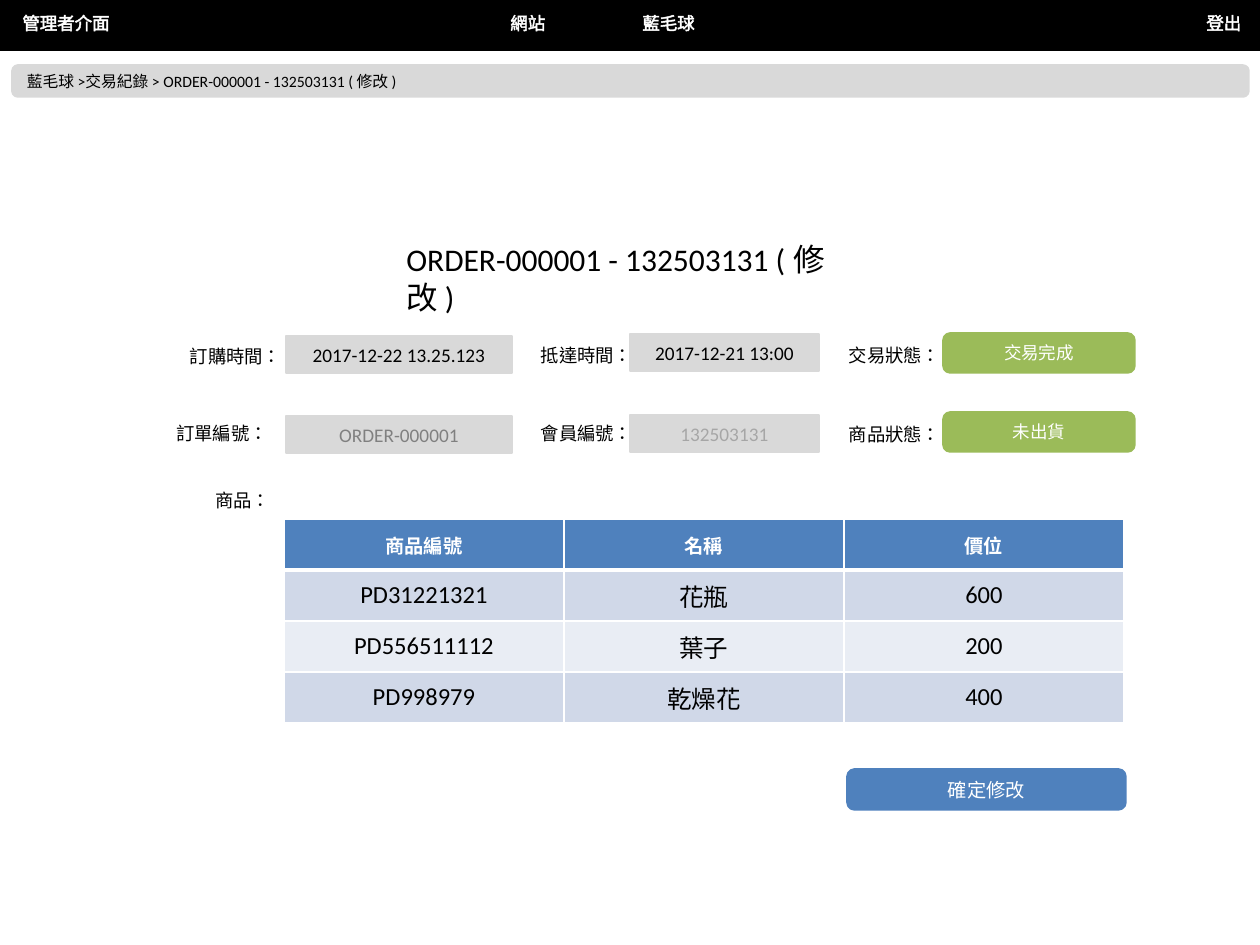
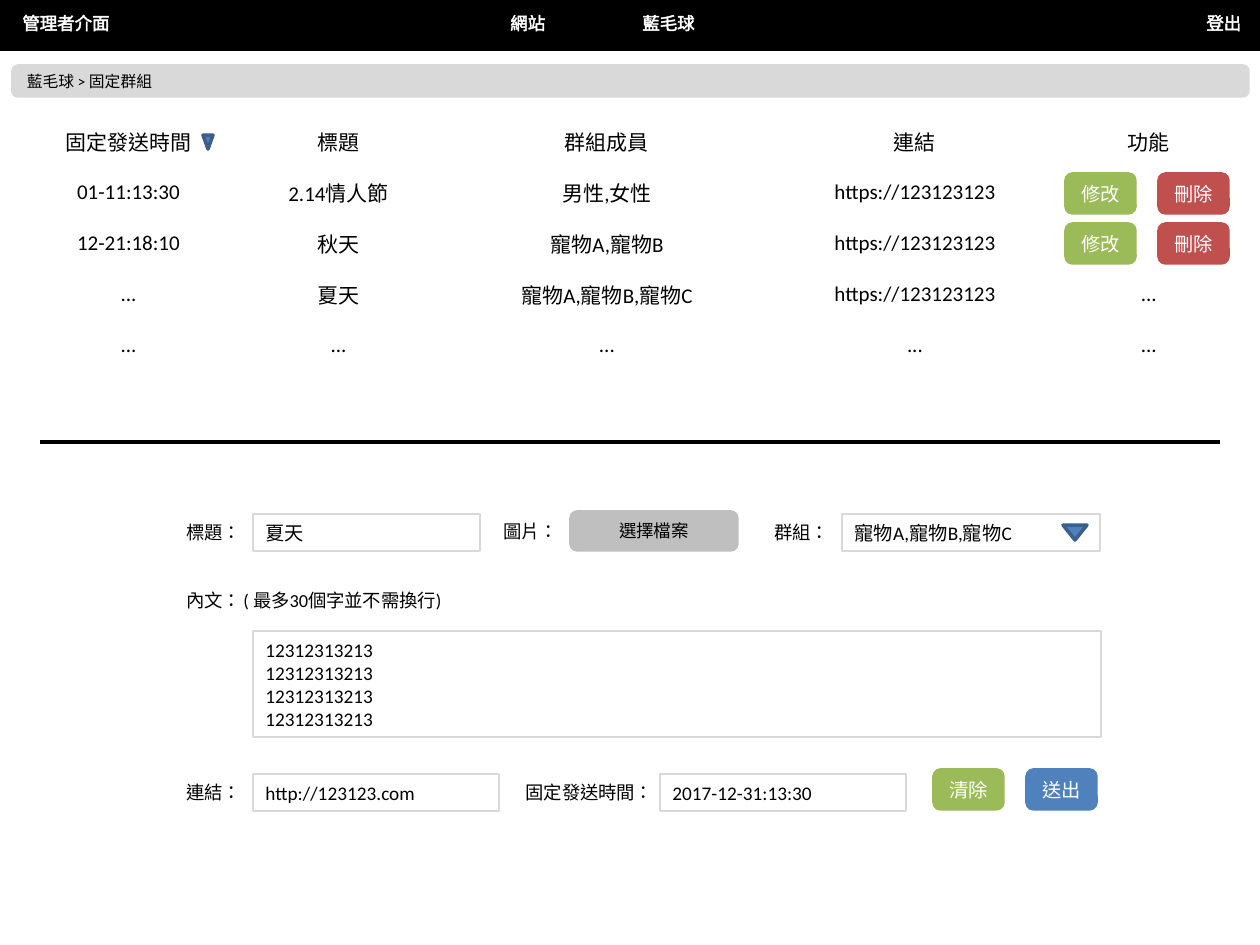
from lxml import etree
from pptx import Presentation
from pptx.dml.color import RGBColor
from pptx.enum.shapes import MSO_CONNECTOR, MSO_SHAPE
from pptx.enum.text import MSO_ANCHOR, PP_ALIGN
from pptx.oxml.ns import qn
from pptx.util import Emu, Pt

# ---------- shared look ----------
SCALE = 914400 / 126
FONT, LANGUAGE = "Calibri", "zh-TW"
BLACK, WHITE = "000000", "FFFFFF"
BLUE, DARK_BLUE, GREEN, RED = "4F81BD", "3A5F8C", "9BBB59", "C0504D"
PALE, SILVER, MUTED, FAINT = "D9D9D9", "BFBFBF", "808080", "A6A6A6"
BAND_DARK, BAND_LIGHT = "D0D8E8", "E9EDF4"
LEFT, CENTER = PP_ALIGN.LEFT, PP_ALIGN.CENTER
RECT, ROUND = MSO_SHAPE.RECTANGLE, MSO_SHAPE.ROUNDED_RECTANGLE
PLAIN_TABLE = "{2D5ABB26-0587-4C30-8999-92F81FD0307C}"

# ---------- content ----------
SHOP = "藍毛球"
MENU = [("管理者介面", 10, 113), ("登出", 1194, 60), ("網站", 498, 60), (SHOP, 630, 78)]

ORDER_TITLE = "ORDER-000001 - 132503131 ( 修改 )"
ORDER_PATH = f"{SHOP} >交易紀錄 > {ORDER_TITLE}"
ORDER_LABELS = [  # text, x, y, width, alignment
    ("訂購時間：", 169, 339, 115, CENTER),
    ("抵達時間：", 520, 338, 115, CENTER),
    ("交易狀態：", 828, 338, 115, CENTER),
    ("訂單編號：", 164, 416, 103, LEFT),
    ("會員編號：", 520, 416, 115, CENTER),
    ("商品狀態：", 828, 417, 115, CENTER),
    ("商品：", 203, 483, 79, LEFT),
]
ORDER_FIELDS = [  # text, x, y, width, text colour
    ("2017-12-22 13.25.123", 286, 336, 226, BLACK),
    ("2017-12-21 13:00", 630, 334, 189, BLACK),
    ("ORDER-000001", 286, 416, 226, MUTED),
    ("132503131", 630, 415, 189, FAINT),
]
STATUSES = [("交易完成", 334), ("未出貨", 413)]
PRODUCTS = [
    ("商品編號", "名稱", "價位"),
    ("PD31221321", "花瓶", "600"),
    ("PD556511112", "葉子", "200"),
    ("PD998979", "乾燥花", "400"),
]

GROUP_PATH = f"{SHOP} > 固定群組"
LINK = "https://123123123"
GROUP_COLUMNS = [231, 189, 348, 268, 200]
GROUPS = [
    ("固定發送時間", "標題", "群組成員", "連結", "功能"),
    ("01-11:13:30", "2.14情人節", "男性,女性", LINK, ""),
    ("12-21:18:10", "秋天", "寵物A,寵物B", LINK, ""),
    ("...", "夏天", "寵物A,寵物B,寵物C", LINK, "..."),
    ("...",) * 5,
]
ROW_BUTTONS = [("修改", 1066, GREEN), ("刪除", 1159, RED)]
FORM_BUTTONS = [("清除", 934, GREEN), ("送出", 1027, BLUE)]
FORM_LABELS = [
    ("標題：", 174, 515, 79, LEFT),
    ("圖片：", 491, 514, 79, LEFT),
    ("群組：", 762, 515, 79, LEFT),
    ("內文：", 174, 583, 79, LEFT),
    ("( 最多30個字並不需換行)", 231, 583, 455, LEFT),
    ("連結：", 174, 775, 79, LEFT),
    ("固定發送時間：", 510, 775, 159, CENTER),
]
FORM_FIELDS = [  # text, x, y, width, height
    ("夏天", 253, 514, 227, 37),
    ("寵物A,寵物B,寵物C", 842, 514, 258, 37),
    ("\n".join(["12312313213"] * 4), 253, 631, 848, 106),
    ("http://123123.com", 253, 774, 246, 37),
    ("2017-12-31:13:30", 660, 774, 246, 37),
]
ARROWS = [(203, 135, 10, 14), (1063, 525, 24, 15)]


# ---------- helpers ----------
def px(value):
    return Emu(round(value * SCALE))


def rgb(code):
    return RGBColor.from_string(code)


def write(frame, text, size, color, align=LEFT, bold=None):
    """Fill a frame, one paragraph a line, and return the runs."""
    runs = []
    for i, line in enumerate(text.split("\n")):
        para = frame.paragraphs[0] if i == 0 else frame.add_paragraph()
        para.alignment = align
        run = para.add_run()
        run.text = line
        run.font.name, run.font.size, run.font.bold = FONT, Pt(size), bold
        run.font.color.rgb = rgb(color)
        run.font._element.set("lang", LANGUAGE)
        runs.append(run)
    return runs


def solid_line(parent, tag, color, points, index):
    line = etree.Element(qn(tag), w=str(Pt(points)))
    fill = etree.SubElement(line, qn("a:solidFill"))
    etree.SubElement(fill, qn("a:srgbClr"), val=color)
    parent.insert(index, line)


def label(slide, text, x, y, w, h=35, align=LEFT, size=10.5, color=BLACK, wrap=True):
    box = slide.shapes.add_textbox(px(x), px(y), px(w), px(h))
    box.text_frame.word_wrap = wrap
    return box.text_frame, write(box.text_frame, text, size, color, align)


def block(slide, kind, x, y, w, h, fill, line=None, points=2,
          text="", size=11, color=WHITE, align=CENTER):
    shape = slide.shapes.add_shape(kind, px(x), px(y), px(w), px(h))
    shape.shadow.inherit = False
    shape.fill.solid()
    shape.fill.fore_color.rgb = rgb(fill)
    shape.line.color.rgb = rgb(line or fill)
    shape.line.width = Pt(points)
    if text:
        shape.text_frame.word_wrap = True
        shape.text_frame.vertical_anchor = MSO_ANCHOR.MIDDLE
        write(shape.text_frame, text, size, color, align)
    return shape


def small_buttons(slide, buttons, y):
    for text, x, fill in buttons:
        block(slide, ROUND, x, y, 69, 39, fill, text=text)


def grid(slide, rows, x, y, widths, row_height, style):
    """Draw a table; style(row) gives text size, colour, bold and cell fill."""
    frame = slide.shapes.add_table(len(rows), len(widths), px(x), px(y),
                                   px(sum(widths)), px(row_height * len(rows)))
    table = frame.table
    table.first_row = table.horz_banding = False
    table._tbl.tblPr.find(qn("a:tableStyleId")).text = PLAIN_TABLE
    for column, width in zip(table.columns, widths):
        column.width = px(width)
    for r, row in enumerate(rows):
        table.rows[r].height = px(row_height)
        size, color, bold, fill = style(r)
        for c, text in enumerate(row):
            cell = table.cell(r, c)
            cell.vertical_anchor = MSO_ANCHOR.MIDDLE
            if text:
                write(cell.text_frame, text, size, color, CENTER, bold)
            if fill:
                cell.fill.solid()
                cell.fill.fore_color.rgb = rgb(fill)
            else:
                cell.fill.background()
    return table


def product_style(row):
    if row == 0:
        return 11, WHITE, True, BLUE
    return 14, BLACK, False, BAND_DARK if row % 2 else BAND_LIGHT


def group_style(row):
    return 12, BLACK, False, None


def new_page(path):
    """Blank slide with the black menu bar and the breadcrumb."""
    slide = prs.slides.add_slide(prs.slide_layouts[6])
    block(slide, RECT, 0, 0, 1260, 49, BLACK)
    for text, x, w in MENU:
        _, runs = label(slide, text, x, 6, w, 34, size=10, color=WHITE, wrap=False)
        solid_line(runs[0].font._element, "a:ln", WHITE, 0.75, 0)
    block(slide, ROUND, 13, 66, 1235, 30, PALE,
          text=path, size=9, color=BLACK, align=LEFT)
    return slide


prs = Presentation()
prs.slide_width, prs.slide_height = px(1260), px(945)

# ---------- slide 1: edit an order ----------
page = new_page(ORDER_PATH)
title, _ = label(page, ORDER_TITLE, 394, 234, 504, 50, size=18)
title.margin_right = px(53)
for text, x, y, w, align in ORDER_LABELS:
    label(page, text, x, y, w, align=align)
for text, x, y, w, color in ORDER_FIELDS:
    block(page, RECT, x, y, w, 37, PALE, points=0.75, text=text, color=color)
for text, y in STATUSES:
    block(page, ROUND, 944, y, 190, 38, GREEN, text=text, size=10)

products = grid(page, PRODUCTS, 284, 519, [280] * 3, 51, product_style)
for r in range(len(PRODUCTS)):
    edges = [("a:lnL", 1), ("a:lnR", 1),
             ("a:lnT", 3 if r == 1 else 1), ("a:lnB", 3 if r == 0 else 1)]
    for cell in products.rows[r].cells:
        for i, (edge, points) in enumerate(edges):
            solid_line(cell._tc.get_or_add_tcPr(), edge, WHITE, points, i)
block(page, ROUND, 848, 770, 277, 39, BLUE, text="確定修改")

# ---------- slide 2: scheduled groups ----------
page = new_page(GROUP_PATH)
grid(page, GROUPS, 13, 116, GROUP_COLUMNS, 51, group_style)
for y in (174, 224):
    small_buttons(page, ROW_BUTTONS, y)

divider = page.shapes.add_connector(MSO_CONNECTOR.STRAIGHT,
                                    px(40), px(442), px(1220), px(442))
divider.line.color.rgb = rgb(BLACK)
divider.line.width = Pt(2.25)
etree.SubElement(divider._element.spPr, qn("a:effectLst"))

# form below the divider
for text, x, y, w, align in FORM_LABELS:
    label(page, text, x, y, w, align=align)
for text, x, y, w, h in FORM_FIELDS:
    block(page, RECT, x, y, w, h, WHITE, PALE, 0.75, text, color=BLACK, align=LEFT)
block(page, ROUND, 571, 512, 166, 38, SILVER, text="選擇檔案", size=10, color=BLACK)
small_buttons(page, FORM_BUTTONS, 770)

# sort and drop-down arrows
for x, y, w, h in ARROWS:
    arrow = block(page, MSO_SHAPE.ISOSCELES_TRIANGLE, x, y, w, h, BLUE, DARK_BLUE)
    arrow.rotation = 180

prs.save("out.pptx")
